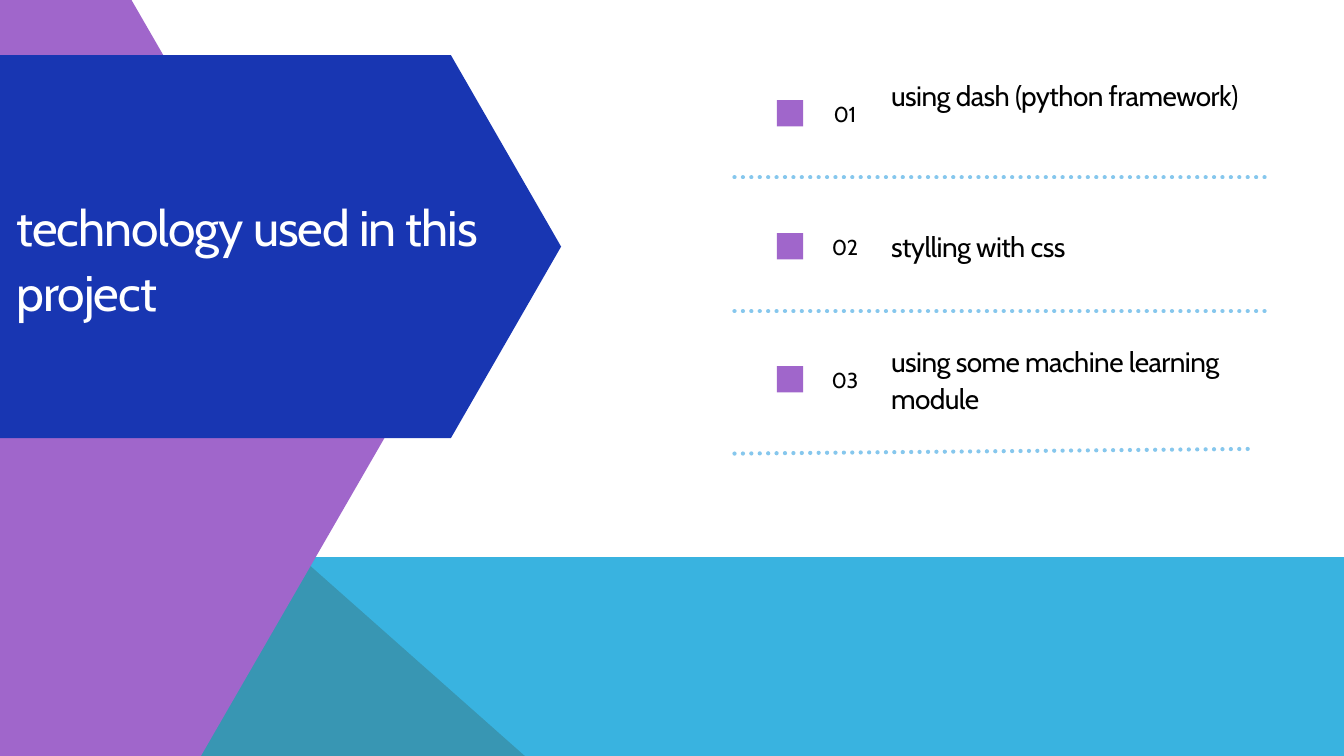
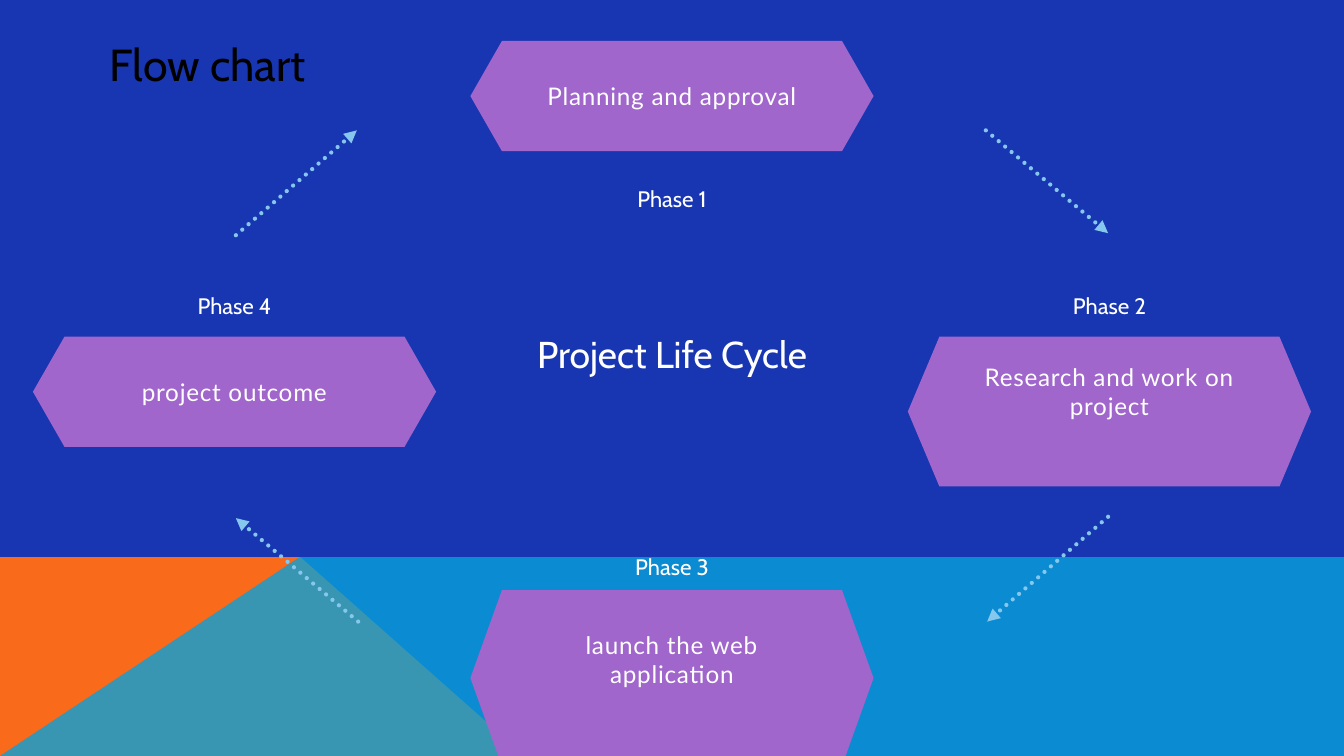
from lxml import etree
from pptx import Presentation
from pptx.dml.color import RGBColor
from pptx.enum.dml import MSO_LINE
from pptx.enum.shapes import MSO_CONNECTOR, MSO_SHAPE
from pptx.enum.text import MSO_ANCHOR, MSO_AUTO_SIZE, PP_ALIGN
from pptx.oxml.ns import qn
from pptx.util import Inches, Pt

COLS, ROWS = 20, 11.25
CELL = Inches(1)
LEFT, CENTER = PP_ALIGN.LEFT, PP_ALIGN.CENTER
TOP, GROW = MSO_ANCHOR.TOP, MSO_AUTO_SIZE.SHAPE_TO_FIT_TEXT
RECTANGLE, STRAIGHT, DOTTED = MSO_SHAPE.RECTANGLE, MSO_CONNECTOR.STRAIGHT, MSO_LINE.ROUND_DOT

WHITE, BLACK, NAVY, PURPLE = "FFFFFF", "000000", "1836B2", "A066CB"
ORANGE, CYAN, SKY = "F96A1B", "08A1D9", "86C7ED"
HEADING, BODY = "Cabin", "Lato"
BAND_TOP = 8.29

ITEM_STEP = 1.98
ITEMS = [
    ("01", "using dash (python framework)", -0.37, 1.08, (18.87, 2.64, 2.64)),
    ("02", "stylling with css", -0.1, 0.54, (18.87, 4.63, 4.63)),
    ("03", "using some machine learning module", -0.36, 1.08, (18.64, 6.75, 6.68)),
]
PHASES = [
    ("Phase 1", "Planning and approval", (7, 0.61, 6, 1.64), 0.6, 0.44, 2.08),
    ("Phase 2", "Research and work on project", (13.51, 5.01, 6, 2.23), 0.38, 0.87, -0.73),
    ("Phase 3", "launch the web application", (7, 8.78, 6, 2.62), 0.6, 0.87, -0.62),
    ("Phase 4", "project outcome", (0.49, 5.01, 6, 1.64), 0.6, 0.44, -0.73),
]
ARROWS = [
    ((14.67, 1.94), (16.49, 3.47)),
    ((16.49, 7.69), (14.69, 9.25)),
    ((5.33, 9.25), (3.51, 7.71)),
    ((3.51, 3.5), (5.31, 1.94)),
]


def grid(*cells):
    """Turn grid cells into slide lengths."""
    return [int(CELL * cell) for cell in cells]


def rgb(color):
    """Return a colour from a hex string."""
    return RGBColor.from_string(color)


def paint(sp, color):
    """Give a shape a flat fill with no outline or shadow."""
    sp.shadow.inherit = False
    sp.fill.solid()
    sp.fill.fore_color.rgb = rgb(color)
    sp.line.fill.background()
    return sp


def polygon(shapes, points, color):
    """Draw a closed outline through grid points."""
    start, *rest = [grid(*point) for point in points]
    builder = shapes.build_freeform(*start, scale=1.0)
    builder.add_line_segments(rest, close=True)
    return paint(builder.convert_to_shape(), color)


def hexagon(shapes, box, notch, color):
    """Draw a hexagon with its points at the left and right of the box."""
    x, y, w, h = box
    right, middle, bottom = x + w, y + h / 2, y + h
    points = [(right - notch, y), (x + notch, y), (x, middle),
              (x + notch, bottom), (right - notch, bottom), (right, middle)]
    return polygon(shapes, points, color)


def write(sp, text, size, color, font=HEADING, align=LEFT, leading=None, spacing=0, inset=0):
    """Set one formatted paragraph in a shape."""
    tf = sp.text_frame
    tf.word_wrap, tf.auto_size, tf.vertical_anchor = True, GROW, TOP
    if inset is not None:
        tf.margin_left = tf.margin_top = tf.margin_right = tf.margin_bottom = inset
    tf.text = text
    p = tf.paragraphs[0]
    p.alignment = align
    if leading:
        p.line_spacing = Pt(leading)
    p.font.name, p.font.size, p.font.color.rgb = font, Pt(size), rgb(color)
    if spacing:
        for props in sp.element.iter(qn("a:defRPr")):
            props.set("spc", str(round(spacing * 100)))


def label(shapes, box, text, size, color, **style):
    """Add a text box at a grid box."""
    write(shapes.add_textbox(*grid(*box)), text, size, color, **style)


def title(slide, box, text, size, color, **style):
    """Place the title placeholder in front of the shapes drawn so far."""
    sp = slide.shapes.title
    sp.left, sp.top, sp.width, sp.height = grid(*box)
    write(sp, text, size, color, **style)
    slide.shapes.element.append(sp.element)


def dotted_line(slide, start, end, arrow=False):
    """Draw a dotted connector, optionally with an arrowhead."""
    line = slide.shapes.add_connector(STRAIGHT, *grid(*start, *end))
    line.line.color.rgb = rgb(SKY)
    line.line.width = Pt(4.5)
    line.line.dash_style = DOTTED
    ln = next(line.element.iter(qn("a:ln")))
    ln.set("cap", "rnd")
    if arrow:
        etree.SubElement(ln, qn("a:tailEnd"), type="triangle")
    etree.SubElement(ln.getparent(), qn("a:effectLst"))


def bands(slide):
    """Put the bottom bands on the layout that the slides share."""
    wedge = polygon(slide.shapes, [(0, ROWS), (0, BAND_TOP), (4.47, BAND_TOP), (7.81, ROWS)], ORANGE)
    band = polygon(slide.shapes, [(0, ROWS), (4.46, BAND_TOP), (COLS, BAND_TOP), (COLS, ROWS)], CYAN)
    tint = next(band.element.iter(qn("a:srgbClr")))
    etree.SubElement(tint, qn("a:alpha"), val="80000")
    for index, sp in enumerate((wedge, band)):
        slide.slide_layout.shapes.element.insert(2 + index, sp.element)


def new_slide(prs, background):
    """Add a slide with a plain background."""
    slide = prs.slides.add_slide(prs.slide_layouts[5])
    slide.background.fill.solid()
    slide.background.fill.fore_color.rgb = rgb(background)
    return slide


def item(slide, x, y, number, text, text_shift, text_height, rule):
    """Draw a numbered item beside its marker, with a rule below."""
    end, left_y, right_y = rule
    dotted_line(slide, (x - 0.63, left_y), (end, right_y))
    paint(slide.shapes.add_shape(RECTANGLE, *grid(x, y, 0.39, 0.39)), PURPLE)
    label(slide.shapes, (x + 0.71, y - 0.05, 0.61, 0.43), number, 23.1, BLACK,
          align=CENTER, leading=32.4, spacing=-0.5)
    label(slide.shapes, (x + 1.7, y + text_shift, 5.61, text_height), text, 30, BLACK,
          leading=39, spacing=-0.6)


def phase(slide, name, text, box, text_shift, text_height, name_shift):
    """Draw a phase card and its name."""
    x, y, w, _ = box
    card = slide.shapes.add_group_shape().shapes
    hexagon(card, box, 0.47, PURPLE)
    label(card, (x + 0.95, y + text_shift, w - 1.9, text_height), text, 26, WHITE,
          font=BODY, align=CENTER, leading=31.2, spacing=0.8)
    label(slide.shapes, (x + w / 2 - 1.34, y + name_shift, 2.68, 0.45), name, 24, WHITE,
          align=CENTER, leading=33.6)


def technology_slide(prs):
    """Build the slide that lists the technology."""
    slide = new_slide(prs, WHITE)
    bands(slide)
    hexagon(slide.shapes, (-5.73, -1.05, 11.45, 15.14), 4.37, PURPLE)
    hexagon(slide.shapes, (-3.41, 0.82, 11.76, 5.7), 1.64, NAVY)
    for index, parts in enumerate(ITEMS):
        item(slide, 11.56, 1.49 + index * ITEM_STEP, *parts)
    title(slide, (0.25, 2.85, 7.92, 1.92), "technology used in this project", 53.5, WHITE,
          leading=69.5, spacing=-1.1)


def life_cycle_slide(prs):
    """Build the flow chart of the project life cycle."""
    slide = new_slide(prs, NAVY)
    label(slide.shapes, (7.92, 4.82, 4.16, 1.52), "Project Life Cycle", 40, WHITE,
          align=CENTER, leading=56)
    for parts in PHASES:
        phase(slide, *parts)
    for start, end in ARROWS:
        dotted_line(slide, start, end, arrow=True)
    title(slide, (1.53, 0.49, 3.19, 0.91), "Flow chart", 48, BLACK, inset=None)


def main():
    """Build and save the presentation."""
    prs = Presentation()
    prs.slide_width, prs.slide_height = grid(COLS, ROWS)
    technology_slide(prs)
    life_cycle_slide(prs)
    prs.save("out.pptx")


if __name__ == "__main__":
    main()
